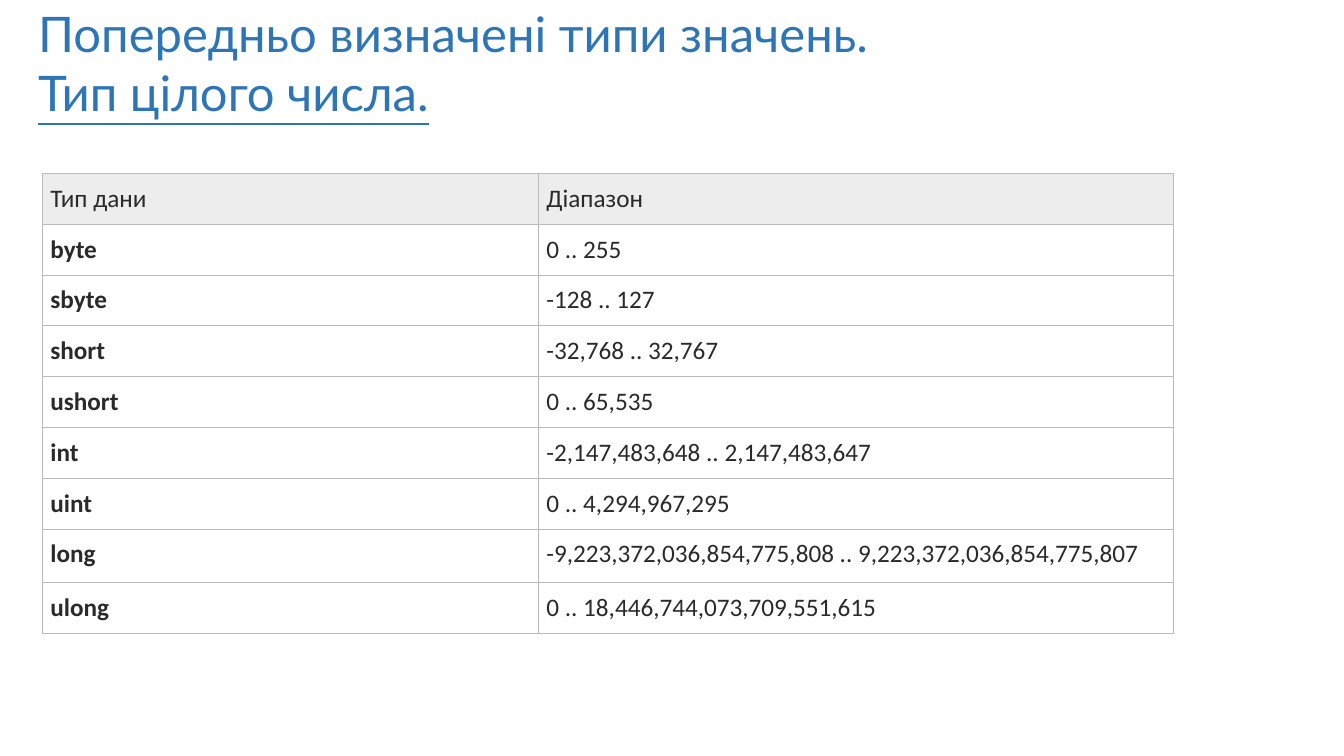
import pptx
import pptx.dml.color
import pptx.enum.text
import pptx.oxml
import pptx.oxml.ns
import pptx.util
from lxml import etree

Cm = pptx.util.Cm
Pt = pptx.util.Pt
RGBColor = pptx.dml.color.RGBColor
Anchor = pptx.enum.text.MSO_ANCHOR

BLUE = RGBColor(0x2E, 0x75, 0xB6)
INK = RGBColor(0x2A, 0x2A, 0x2A)
HEADER_GREY = RGBColor(0xED, 0xED, 0xED)
WHITE = RGBColor(0xFF, 0xFF, 0xFF)
BORDER_GREY = RGBColor(0xBB, 0xBB, 0xBB)

TITLE_FONT = {"name": "Lato", "size": Pt(35)}
CELL_FONT = {"name": "Calibri", "size": Pt(18)}
CELL_MARGINS = {
    "margin_left": Cm(0.2),
    "margin_right": Cm(0.2),
    "margin_top": Cm(0.25),
    "margin_bottom": Cm(0.25),
}

TITLE_LINES = [
    ("Попередньо визначені типи значень.", False),
    ("Тип цілого числа.", True),
]
HEADER = ("Тип дани", "Діапазон")
INTEGER_TYPES = [
    ("byte", "0 .. 255"),
    ("sbyte", "-128 .. 127"),
    ("short", "-32,768 .. 32,767"),
    ("ushort", "0 .. 65,535"),
    ("int", "-2,147,483,648 .. 2,147,483,647"),
    ("uint", "0 .. 4,294,967,295"),
    ("long", "-9,223,372,036,854,775,808 .. 9,223,372,036,854,775,807"),
    ("ulong", "0 .. 18,446,744,073,709,551,615"),
]
COLUMN_WIDTHS = (Cm(12.5), Cm(16))
ROW_HEIGHT = Cm(1.28)
LONG_ROW_HEIGHT = Cm(1.34)


def set_attributes(obj, values):
    for name, value in values.items():
        setattr(obj, name, value)


def add_run(p, text, color, font):
    r = p.add_run()
    r.text = text
    r.font.color.rgb = color
    set_attributes(r.font, font)


def add_title(s):
    sp = s.shapes.add_textbox(Cm(0.71), Cm(-0.03), Cm(26), Cm(3.25))
    tf = sp.text_frame
    tf.word_wrap = True
    for i, (text, underline) in enumerate(TITLE_LINES):
        p = tf.add_paragraph() if i else tf.paragraphs[0]
        add_run(p, text, BLUE, {**TITLE_FONT, "underline": underline})


def set_borders(cell):
    """Draw a thin line on all four sides, placed before the cell's fill."""
    tc_pr = cell._tc.get_or_add_tcPr()
    for i, side in enumerate(("lnL", "lnR", "lnT", "lnB")):
        ln = etree.Element(pptx.oxml.ns.qn(f"a:{side}"), w=str(Pt(0.75)))
        fill = etree.SubElement(ln, pptx.oxml.ns.qn("a:solidFill"))
        etree.SubElement(fill, pptx.oxml.ns.qn("a:srgbClr"), val=str(BORDER_GREY))
        tc_pr.insert(i, ln)


def fill_cell(cell, text, background, bold, anchor):
    set_attributes(cell, {**CELL_MARGINS, "vertical_anchor": anchor})
    cell.fill.solid()
    cell.fill.fore_color.rgb = background
    add_run(cell.text_frame.paragraphs[0], text, INK, {**CELL_FONT, "bold": bold})
    set_borders(cell)


def add_type_table(s):
    rows = [HEADER, *INTEGER_TYPES]
    table = s.shapes.add_table(
        len(rows), len(HEADER), Cm(1.07), Cm(4.37),
        sum(COLUMN_WIDTHS), ROW_HEIGHT * len(rows),
    ).table
    set_attributes(table, {"first_row": False, "horz_banding": False})
    for column, width in zip(table.columns, COLUMN_WIDTHS):
        column.width = width
    for i, texts in enumerate(rows):
        is_header = i == 0
        table.rows[i].height = LONG_ROW_HEIGHT if texts[0] == "long" else ROW_HEIGHT
        for j, text in enumerate(texts):
            fill_cell(
                table.cell(i, j), text,
                background=HEADER_GREY if is_header else WHITE,
                bold=j == 0 and not is_header,
                anchor=Anchor.MIDDLE if is_header else Anchor.TOP,
            )


def main():
    prs = pptx.Presentation()
    set_attributes(prs, {"slide_width": Cm(33.87), "slide_height": Cm(19.05)})
    s = prs.slides.add_slide(prs.slide_layouts[6])
    add_title(s)
    add_type_table(s)
    prs.save("out.pptx")


if __name__ == "__main__":
    main()
